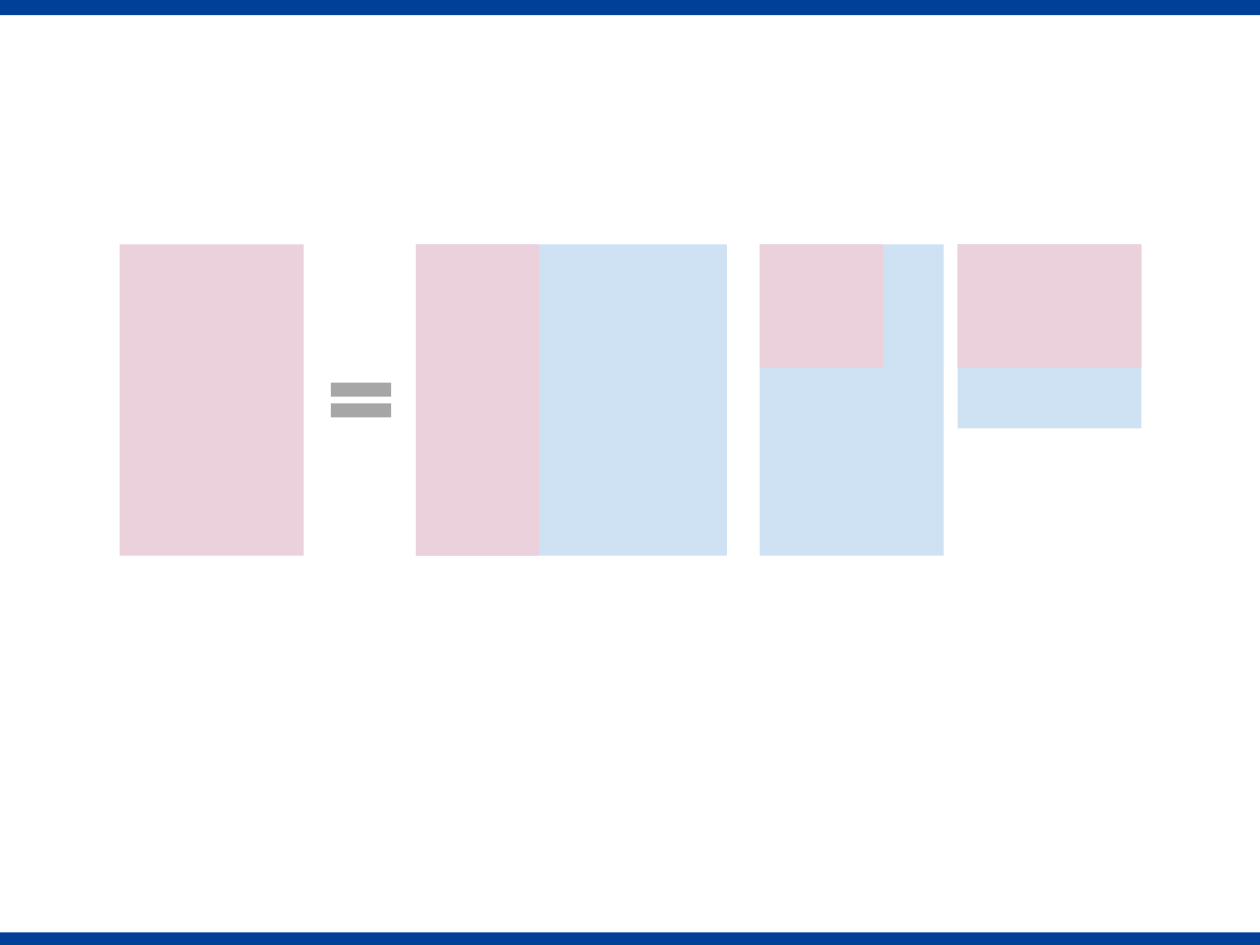
from dataclasses import dataclass

from pptx import Presentation
from pptx.dml.color import RGBColor
from pptx.enum.shapes import MSO_SHAPE
from pptx.util import Inches

RECTANGLE = MSO_SHAPE.RECTANGLE
EQUAL_SIGN = MSO_SHAPE.MATH_EQUAL
BLANK_LAYOUT = 6

# Slide and matrix dimensions in inches
SLIDE_WIDTH, SLIDE_HEIGHT = 10, 7.5
ROWS, COLUMNS, RANK = 2.47, 1.46, 0.98
MATRIX_TOP = 1.94


@dataclass(frozen=True)
class Theme:
    bar: str = "004098"
    kept: str = "EAD1DC"
    full: str = "CFE2F3"
    sign: str = "A6A6A6"


THEME = Theme()


def add_block(shapes, kind, left, top, width, height, color):
    """Add a flat shape without outline or shadow."""
    block = shapes.add_shape(
        kind, Inches(left), Inches(top), Inches(width), Inches(height))
    block.shadow.inherit = False
    block.fill.solid()
    block.fill.fore_color.rgb = RGBColor.from_string(color)
    block.line.fill.background()
    return block


def add_matrix(shapes, left, full_size, kept_size):
    """Draw a full matrix with its kept part on the top left corner."""
    for size, color in ((full_size, THEME.full), (kept_size, THEME.kept)):
        add_block(shapes, RECTANGLE, left, MATRIX_TOP, *size, color)


def add_bars(shapes):
    for top, height in ((SLIDE_HEIGHT - 0.1, 0.1), (0, 0.12)):
        add_block(shapes, RECTANGLE, 0, top, SLIDE_WIDTH, height, THEME.bar)


def main():
    presentation = Presentation()
    presentation.slide_width = Inches(SLIDE_WIDTH)
    presentation.slide_height = Inches(SLIDE_HEIGHT)
    slide = presentation.slides.add_slide(
        presentation.slide_layouts[BLANK_LAYOUT])

    # Top and bottom bars
    add_bars(slide.shapes)

    # Left side: the product matrix
    equation = slide.shapes.add_group_shape().shapes
    add_block(equation, RECTANGLE, 0.95, MATRIX_TOP, COLUMNS, ROWS, THEME.kept)

    # Right side: three factors, each cut down to the rank
    add_matrix(equation, 3.3, (ROWS, ROWS), (RANK, ROWS))
    add_matrix(equation, 6.03, (COLUMNS, ROWS), (RANK, RANK))
    add_matrix(equation, 7.6, (COLUMNS, COLUMNS), (COLUMNS, RANK))

    # Equal sign, centred on the height of the matrices
    sign_height = 0.47
    sign_top = MATRIX_TOP + (ROWS - sign_height) / 2
    add_block(equation, EQUAL_SIGN, 2.54, sign_top, 0.65, sign_height,
              THEME.sign)

    presentation.save("out.pptx")


if __name__ == "__main__":
    main()
